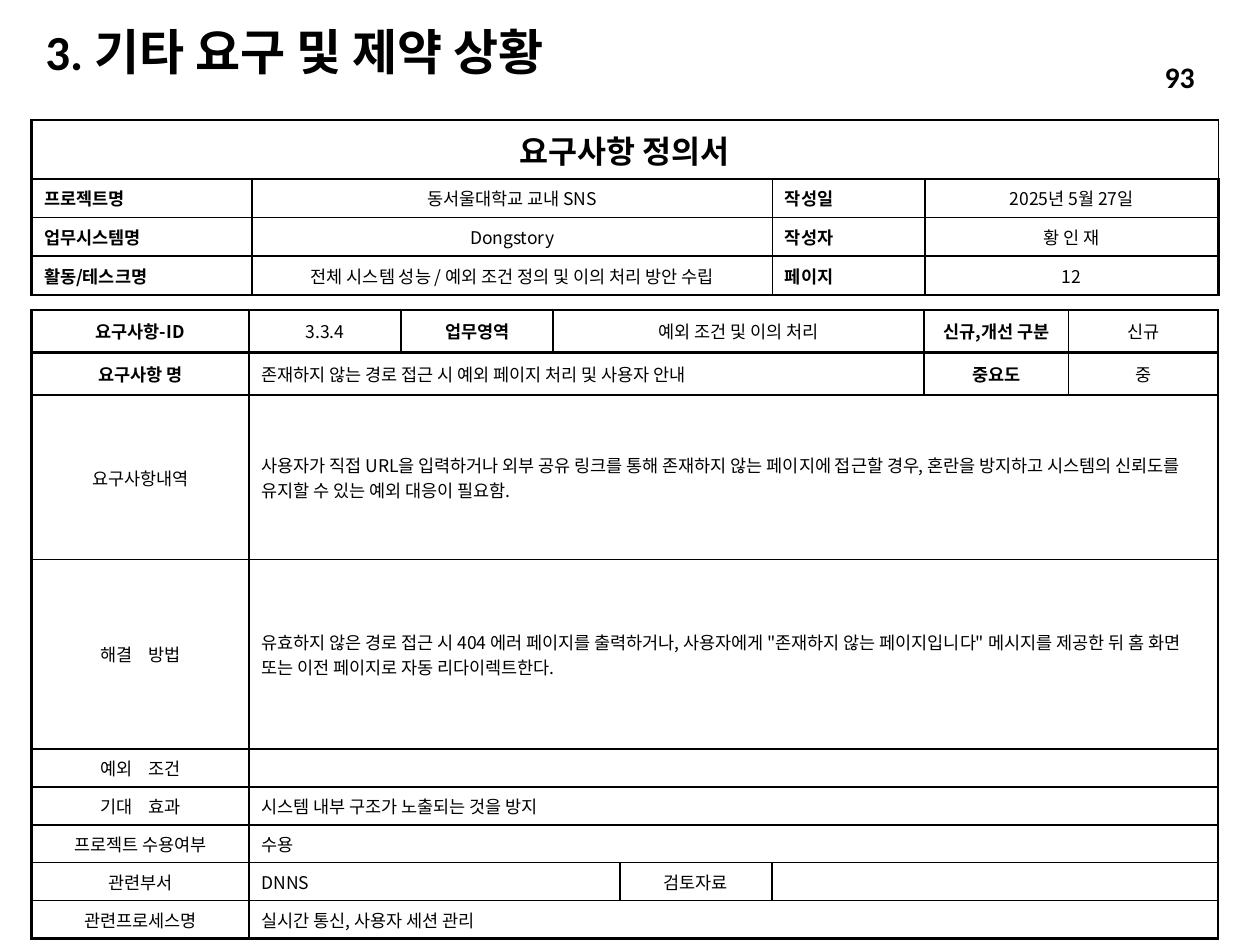
"""Build a requirements definition sheet with a header form and a detail form."""
from dataclasses import dataclass
from itertools import pairwise

from lxml import etree
from pptx import Presentation
from pptx.dml.color import RGBColor
from pptx.enum.text import MSO_ANCHOR, PP_ALIGN
from pptx.oxml.ns import qn
from pptx.util import Inches, Pt

CENTER, LEFT, RIGHT, JUSTIFY = PP_ALIGN.CENTER, PP_ALIGN.LEFT, PP_ALIGN.RIGHT, PP_ALIGN.JUSTIFY
MIDDLE = MSO_ANCHOR.MIDDLE
GAP = "\t"


@dataclass(frozen=True)
class Theme:
    ink: str = "000000"
    heading_font: str = "Calibri"
    body_font: str = "Noto Sans CJK KR"
    title_size: int = 28
    number_size: int = 17
    form_title_size: int = 18
    body_size: int = 10
    thin: float = 1
    thick: float = 1.5
    gap_spacing: int = 700


THEME = Theme()
GRID_COLUMNS, GRID_ROWS = 100, 75

TITLE = "3. 기타 요구 및 제약 상황"
TITLE_BOX = (2.6, 2.1, 53.6, 4.4)
PAGE_NUMBER = "93"
NUMBER_BOX = (79.6, 4.1, 16.2, 4)

STYLES = {
    "form title": (CENTER, True, THEME.form_title_size),
    "field": (JUSTIFY, True, THEME.body_size),
    "label": (CENTER, True, THEME.body_size),
    "value": (CENTER, False, THEME.body_size),
    "text": (LEFT, False, THEME.body_size),
}

HEADER_FORM = {
    "box": (2.5, 9.5, 94.2, 13.9),
    "columns": (17.5, 41.3, 12.1, 23.3),
    "rows": (4.7, 3.05, 3.05, 3.05),
    "thick_lines": {0, 4},
    "cells": [
        [(0, "요구사항 정의서", "form title")],
        [(0, "프로젝트명", "field"), (1, "동서울대학교 교내 SNS", "value"),
         (2, "작성일", "field"), (3, "2025년 5월 27일", "value")],
        [(0, "업무시스템명", "field"), (1, "Dongstory", "value"),
         (2, "작성자", "field"), (3, "황 인 재", "value")],
        [(0, "활동/테스크명", "field"),
         (1, "전체 시스템 성능 / 예외 조건 정의 및 이의 처리 방안 수립", "value"),
         (2, "페이지", "field"), (3, "12", "value")],
    ],
}

DETAIL_FORM = {
    "box": (2.5, 24.6, 94.2, 49.8),
    "columns": (17.3, 12.1, 12.1, 5.3, 12.1, 12.1, 11.5, 11.9),
    "rows": (3.4, 3.4, 13.1, 15.1, 3, 3, 3, 3, 3),
    "thick_lines": {0, 1, 2, 9},
    "cells": [
        [(0, "요구사항-ID", "label"), (1, "3.3.4", "value"), (2, "업무영역", "label"),
         (3, "예외 조건 및 이의 처리", "value"), (6, "신규,개선 구분", "label"),
         (7, "신규", "value")],
        [(0, "요구사항 명", "label"),
         (1, "존재하지 않는 경로 접근 시 예외 페이지 처리 및 사용자 안내", "text"),
         (6, "중요도", "label"), (7, "중", "value")],
        [(0, "요구사항내역", "value"),
         (1, "사용자가 직접 URL을 입력하거나 외부 공유 링크를 통해 존재하지 않는 페이지에 "
             "접근할 경우, 혼란을 방지하고 시스템의 신뢰도를 유지할 수 있는 예외 대응이 "
             "필요함.", "text")],
        [(0, f"해결{GAP}방법", "value"),
         (1, "유효하지 않은 경로 접근 시 404 에러 페이지를 출력하거나, 사용자에게 "
             "\"존재하지 않는 페이지입니다\" 메시지를 제공한 뒤 홈 화면 또는 이전 페이지로 "
             "자동 리다이렉트한다.", "text")],
        [(0, f"예외{GAP}조건", "value"), (1, "", "text")],
        [(0, f"기대{GAP}효과", "value"), (1, "시스템 내부 구조가 노출되는 것을 방지", "text")],
        [(0, "프로젝트 수용여부", "value"), (1, "수용", "text")],
        [(0, "관련부서", "value"), (1, "DNNS", "text"), (4, "검토자료", "value"),
         (5, "", "text")],
        [(0, "관련프로세스명", "value"), (1, "실시간 통신, 사용자 세션 관리", "text")],
    ],
}


def place(presentation, box):
    column = presentation.slide_width / GRID_COLUMNS
    row = presentation.slide_height / GRID_ROWS
    left, top, width, height = box
    return [round(length) for length in (left * column, top * row, width * column, height * row)]


def add_run(paragraph, text, size, bold, font_name):
    run = paragraph.add_run()
    run.text = text
    font = run.font
    font.size, font.bold, font.name = Pt(size), bold, font_name
    font.color.rgb = RGBColor.from_string(THEME.ink)
    properties = run._r.get_or_add_rPr()
    etree.SubElement(properties, qn("a:ea"), typeface=THEME.body_font)
    return properties


def write_cell(cell, text, style):
    alignment, bold, size = STYLES[style]
    cell.vertical_anchor = MIDDLE
    paragraph = cell.text_frame.paragraphs[0]
    paragraph.alignment = alignment
    for index, part in enumerate(text.split(GAP)):
        if index:
            space = add_run(paragraph, " ", size, bold, THEME.body_font)
            space.set("spc", str(THEME.gap_spacing))
        if part:
            add_run(paragraph, part, size, bold, THEME.body_font)
    if not text:
        etree.SubElement(paragraph._p, qn("a:endParaRPr"), sz=str(size * 100))


def draw_borders(cell, widths):
    properties = cell._tc.get_or_add_tcPr()
    for side, width in zip("LRTB", widths):
        line = etree.SubElement(properties, qn(f"a:ln{side}"), w=str(Pt(width)))
        fill = etree.SubElement(line, qn("a:solidFill"))
        etree.SubElement(fill, qn("a:srgbClr"), val=THEME.ink)
    cell.fill.background()


def scale(tracks, weights, total, attribute):
    for track, weight in zip(tracks, weights):
        setattr(track, attribute, round(total * weight / sum(weights)))


def add_form(presentation, slide, form):
    left, top, width, height = place(presentation, form["box"])
    row_count, column_count = len(form["rows"]), len(form["columns"])
    table = slide.shapes.add_table(row_count, column_count, left, top, width, height).table
    table.first_row = table.horz_banding = False
    scale(table.columns, form["columns"], width, "width")
    scale(table.rows, form["rows"], height, "height")

    def line_width(is_thick):
        return THEME.thick if is_thick else THEME.thin

    for row, entries in enumerate(form["cells"]):
        for column in range(column_count):
            edges = (column == 0, column == column_count - 1,
                     row in form["thick_lines"], row + 1 in form["thick_lines"])
            draw_borders(table.cell(row, column), [line_width(edge) for edge in edges])
        starts = [start for start, _, _ in entries] + [column_count]
        for (start, end), (_, text, style) in zip(pairwise(starts), entries):
            cell = table.cell(row, start)
            if end - start > 1:
                cell.merge(table.cell(row, end - 1))
            write_cell(cell, text, style)


def write_heading(shape, text, size, alignment):
    frame = shape.text_frame
    frame.word_wrap = True
    frame.vertical_anchor = MIDDLE
    paragraph = frame.paragraphs[0]
    paragraph.alignment = alignment
    add_run(paragraph, text, size, True, THEME.heading_font)
    return paragraph


def main():
    presentation = Presentation()
    presentation.slide_width, presentation.slide_height = Inches(10), Inches(7.5)
    slide = presentation.slides.add_slide(presentation.slide_layouts[5])
    title = slide.shapes.title
    title.left, title.top, title.width, title.height = place(presentation, TITLE_BOX)
    write_heading(title, TITLE, THEME.title_size, LEFT).line_spacing = 0.9
    for form in (DETAIL_FORM, HEADER_FORM):
        add_form(presentation, slide, form)
    number = slide.shapes.add_textbox(*place(presentation, NUMBER_BOX))
    write_heading(number, PAGE_NUMBER, THEME.number_size, RIGHT)
    presentation.save("out.pptx")


if __name__ == "__main__":
    main()
